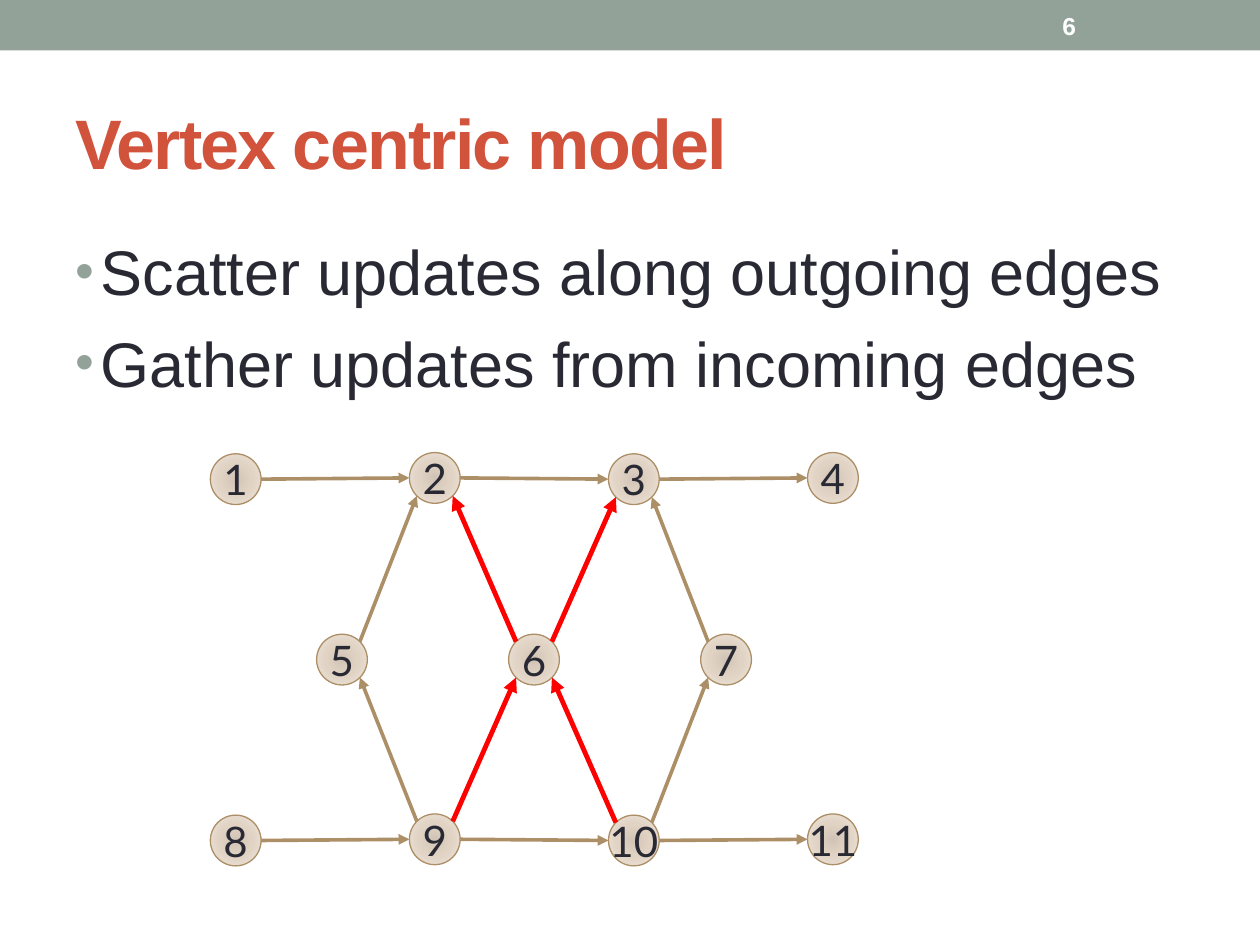
"""Build the slide on the vertex centric model with its directed graph."""
from math import copysign, sqrt

from pptx import Presentation
from pptx.dml.color import RGBColor
from pptx.enum.shapes import MSO_CONNECTOR as Connector, MSO_SHAPE as Shape
from pptx.enum.text import MSO_ANCHOR as Anchor, MSO_AUTO_SIZE as AutoSize, PP_ALIGN as Align
from pptx.oxml import parse_xml
from pptx.oxml.ns import nsdecls
from pptx.util import Pt

theme = {
    "sage": "93A299", "rust": "D2533C", "ink": "292934", "white": "FFFFFF",
    "tan": "AD8F67", "red": "FF0000",
    "node_stops": [(0, "D1C4B6"), (45, "E1D3C4"), (100, "EFE7DF")],
    "sans": "Arial", "label": "Lato",
    "title_size": 40, "body_size": 36, "node_size": 24, "number_size": 14,
}


def write(para, text, font, size, color, bold=False):
    span = para.add_run()
    span.text = text
    span.font.color.rgb = RGBColor.from_string(theme[color])
    values = {"name": theme[font], "size": Pt(theme[size]), "bold": bold}
    for name, value in values.items():
        setattr(span.font, name, value)
    return span


def arrange(item, left, top, width, height, **frame_format):
    places = {"left": left, "top": top, "width": width, "height": height}
    for name, value in places.items():
        setattr(item, name, Pt(value))
    for name, value in frame_format.items():
        setattr(item.text_frame, name, value)
    return item.text_frame.paragraphs[0]


deck = Presentation()
deck.slide_width, deck.slide_height = Pt(720), Pt(540)
page = deck.slides.add_slide(deck.slide_layouts[1])

band = page.shapes.add_shape(Shape.RECTANGLE, 0, 0, Pt(720), Pt(28.8))
band.shadow.inherit = False
band.fill.solid()
band.fill.fore_color.rgb = RGBColor.from_string(theme["sage"])
band.line.fill.background()

para = arrange(page.shapes.title, 36, 42, 648, 78, vertical_anchor=Anchor.MIDDLE,
               auto_size=AutoSize.NONE)
para.alignment = Align.LEFT
heading = write(para, "Vertex centric model", "sans", "title_size", "rust", True)
heading.font._element.set("spc", "-100")

body = page.placeholders[1]
para = arrange(body, 36, 126, 648, 384, vertical_anchor=Anchor.TOP,
               auto_size=AutoSize.NONE, margin_top=Pt(7))
bullets = ["Scatter updates along outgoing edges", "Gather updates from incoming edges"]
for index, text in enumerate(bullets):
    if index:
        para = body.text_frame.add_paragraph()
    para.space_before = Pt(9 if index else 0)
    layout = para._p.get_or_add_pPr()
    layout.set("marL", str(Pt(14.4)))
    layout.set("indent", str(-Pt(14.4)))
    for xml in (
        f'<a:buClr {nsdecls("a")}><a:srgbClr val="{theme["sage"]}"/></a:buClr>',
        f'<a:buSzPct {nsdecls("a")} val="85000"/>',
        f'<a:buFont {nsdecls("a")} typeface="{theme["sans"]}"/>',
        f'<a:buChar {nsdecls("a")} char="•"/>',
    ):
        layout.append(parse_xml(xml))
    write(para, text, "sans", "body_size", "ink")

number = page.shapes.add_textbox(0, 0, 0, 0)
para = arrange(number, 600, 1.5, 84, 26, word_wrap=True, vertical_anchor=Anchor.MIDDLE)
write(para, "6", "sans", "number_size", "white", True)

radius = 14.5
centers = {}
for column in range(4):
    x, lift = 134.7 + 113.75 * column, 0.7 * (column % 2)
    centers[1 + column] = (x, 273.8 - lift)
    centers[8 + column] = (x, 480.3 - lift)
for column in range(3):
    centers[5 + column] = (195.4 + 109.75 * column, 376.9)

stops = "".join(f'<a:gs pos="{place * 1000}"><a:srgbClr val="{color}"/></a:gs>'
                for place, color in theme["node_stops"])
for label, (x, y) in sorted(centers.items()):
    node = page.shapes.add_shape(Shape.OVAL, 0, 0, 0, 0)
    para = arrange(node, x - radius, y - radius, 2 * radius, 2 * radius,
                   word_wrap=False, vertical_anchor=Anchor.MIDDLE)
    node.shadow.inherit = False
    node.fill.background()
    plain = node._element.spPr.find("{*}noFill")
    plain.getparent().replace(plain, parse_xml(
        f'<a:gradFill {nsdecls("a")} rotWithShape="1"><a:gsLst>{stops}</a:gsLst>'
        '<a:path path="circle"><a:fillToRect l="100000" t="100000" r="100000" b="100000"/>'
        '</a:path></a:gradFill>'))
    node.line.color.rgb = RGBColor.from_string(theme["tan"])
    node.line.width = Pt(0.75)
    para.alignment = Align.CENTER
    write(para, str(label), "label", "node_size", "ink")

edges = {
    "tan": [(1, 2), (2, 3), (3, 4), (8, 9), (9, 10), (10, 11),
            (5, 2), (7, 3), (9, 5), (10, 7)],
    "red": [(6, 2), (6, 3), (9, 6), (10, 6)],
}
for color, pairs in edges.items():
    for start, end in pairs:
        (x1, y1), (x2, y2) = centers[start], centers[end]
        level = abs(y2 - y1) < radius
        dx = copysign(radius if level else radius / sqrt(2), x2 - x1)
        dy = 0 if level else copysign(radius / sqrt(2), y2 - y1)
        ends = [Pt(value) for value in (x1 + dx, y1 + dy, x2 - dx, y2 - dy)]
        edge = page.shapes.add_connector(Connector.STRAIGHT, *ends)
        edge.line.color.rgb = RGBColor.from_string(theme[color])
        edge.line.width = Pt(2.75 if color == "red" else 2.08)
        edge.line._get_or_add_ln().append(
            parse_xml(f'<a:tailEnd {nsdecls("a")} type="triangle"/>'))
        edge._element.spPr.append(parse_xml(f'<a:effectLst {nsdecls("a")}/>'))

deck.save("out.pptx")
